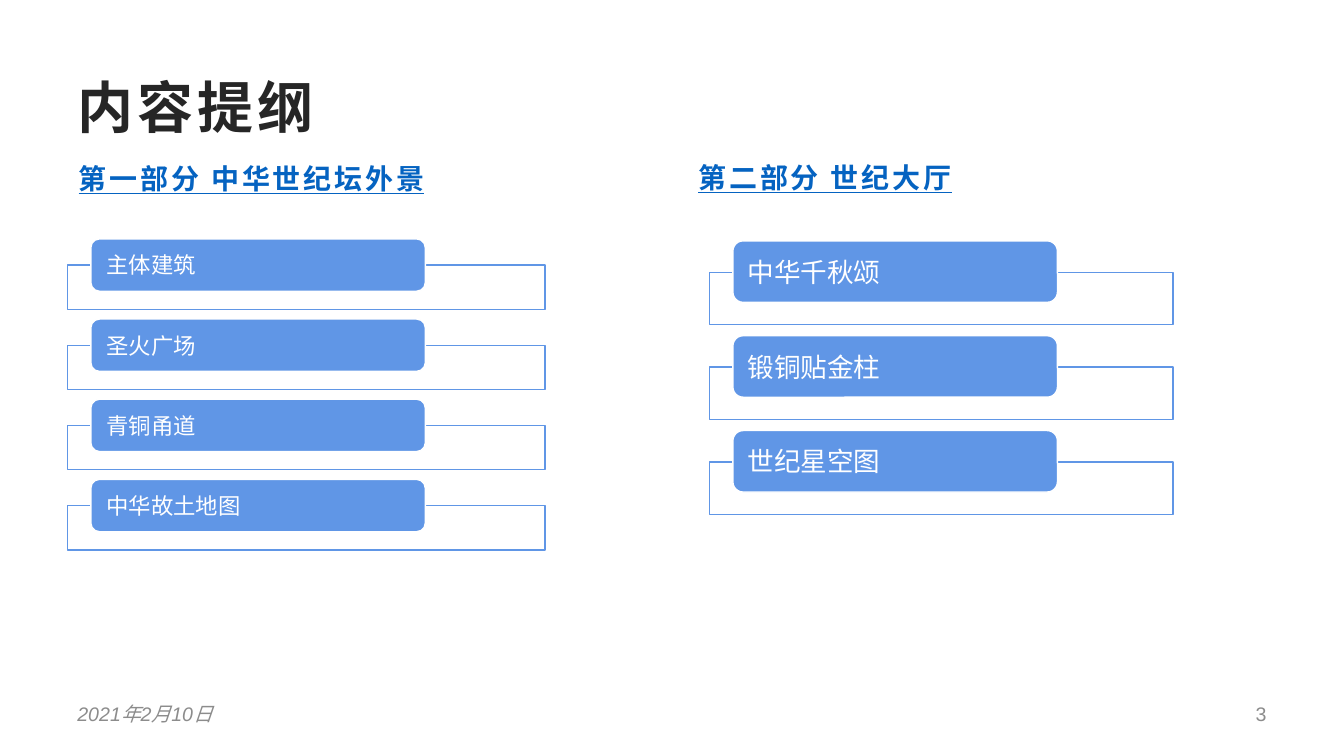
from dataclasses import dataclass

import pptx
import pptx.dml.color
import pptx.enum.shapes
import pptx.enum.text
import pptx.oxml
import pptx.oxml.ns
import pptx.util

Cm = pptx.util.Cm
Pt = pptx.util.Pt
SHAPE = pptx.enum.shapes.MSO_SHAPE
ALIGN = pptx.enum.text.PP_ALIGN
ANCHOR = pptx.enum.text.MSO_ANCHOR

COLORS = {
    "title": "262626",
    "link": "0563C1",
    "blue": "6096E6",
    "white": "FFFFFF",
    "gray": "8C8C8C",
}


@dataclass
class Box:
    left: float
    top: float
    width: float
    height: float


@dataclass
class Style:
    size: float
    color: str
    bold: bool = False
    slant: bool = False
    under: bool = False
    track: int = 0
    align: ALIGN = ALIGN.LEFT
    anchor: ANCHOR = ANCHOR.MIDDLE
    inset: float = 0.25
    pad: float = 0.13


@dataclass
class Label:
    text: str
    box: Box
    style: Style


@dataclass
class Column:
    frame: Box
    tab: Box
    pitch: float
    style: Style
    items: list[str]


HEAD = Style(20, "link", bold=True, under=True, track=200,
             anchor=ANCHOR.TOP, inset=0.28, pad=0.1)

LABELS = [
    Label("内容提纲", Box(1.7, 1.7, 30.48, 1.96),
          Style(40, "title", bold=True, track=300)),
    Label("第一部分 中华世纪坛外景", Box(1.7, 3.96, 14.83, 1.07), HEAD),
    Label("第二部分 世纪大厅", Box(17.32, 3.94, 14.83, 1.07), HEAD),
    Label("2021年2月10日", Box(1.7, 17.55, 7.5, 0.89),
          Style(14, "gray", slant=True)),
    Label("3", Box(24.67, 17.55, 7.5, 0.89),
          Style(14, "gray", align=ALIGN.RIGHT)),
]

COLUMNS = [
    Column(Box(17.88, 6.86, 11.68, 1.32), Box(18.47, 6.07, 8.18, 1.55), 2.39,
           Style(19, "white", inset=0.3, pad=0),
           ["中华千秋颂", "锻铜贴金柱", "世纪星空图"]),
    Column(Box(1.7, 6.68, 12.04, 1.12), Box(2.29, 6.02, 8.43, 1.32), 2.02,
           Style(16, "white", inset=0.33, pad=0),
           ["主体建筑", "圣火广场", "青铜甬道", "中华故土地图"]),
]


def paint(name: str) -> pptx.dml.color.RGBColor:
    return pptx.dml.color.RGBColor.from_string(COLORS[name])


def place(box: Box, shift: float = 0) -> tuple:
    return Cm(box.left), Cm(box.top + shift), Cm(box.width), Cm(box.height)


def write(shape, text: str, style: Style) -> None:
    frame = shape.text_frame
    frame.word_wrap = True
    frame.vertical_anchor = style.anchor
    frame.margin_left = frame.margin_right = Cm(style.inset)
    frame.margin_top = frame.margin_bottom = Cm(style.pad)
    para = frame.paragraphs[0]
    run = para.add_run()
    run.text = text
    para.alignment = style.align
    font = para.font
    font.name = "Arial"
    font.size = Pt(style.size)
    font.bold = style.bold
    font.italic = style.slant
    font.underline = style.under
    font.color.rgb = paint(style.color)
    if style.track:
        run.font._element.set("spc", str(style.track))


def add_label(slide, label: Label) -> None:
    write(slide.shapes.add_textbox(*place(label.box)), label.text, label.style)


def add_block(slide, kind: SHAPE, box: Box, shift: float, fill: str, line: str):
    shape = slide.shapes.add_shape(kind, *place(box, shift))
    shape.shadow.inherit = False
    shape.fill.solid()
    shape.fill.fore_color.rgb = paint(fill)
    shape.line.color.rgb = paint(line)
    shape.line.width = Pt(1)
    return shape


def add_column(slide, column: Column) -> None:
    for index, item in enumerate(column.items):
        shift = index * column.pitch
        frame = add_block(slide, SHAPE.RECTANGLE, column.frame, shift,
                          "white", "blue")
        color = frame.fill._xPr.find(".//" + pptx.oxml.ns.qn("a:srgbClr"))
        alpha = pptx.oxml.parse_xml(
            f'<a:alpha {pptx.oxml.ns.nsdecls("a")} val="90000"/>')
        color.append(alpha)
        tab = add_block(slide, SHAPE.ROUNDED_RECTANGLE, column.tab, shift,
                        "blue", "white")
        write(tab, item, column.style)


def main() -> None:
    deck = pptx.Presentation()
    deck.slide_width = Cm(33.87)
    deck.slide_height = Cm(19.05)
    slide = deck.slides.add_slide(deck.slide_layouts[6])
    for label in LABELS:
        add_label(slide, label)
    for column in COLUMNS:
        add_column(slide, column)
    deck.save("out.pptx")


if __name__ == "__main__":
    main()
